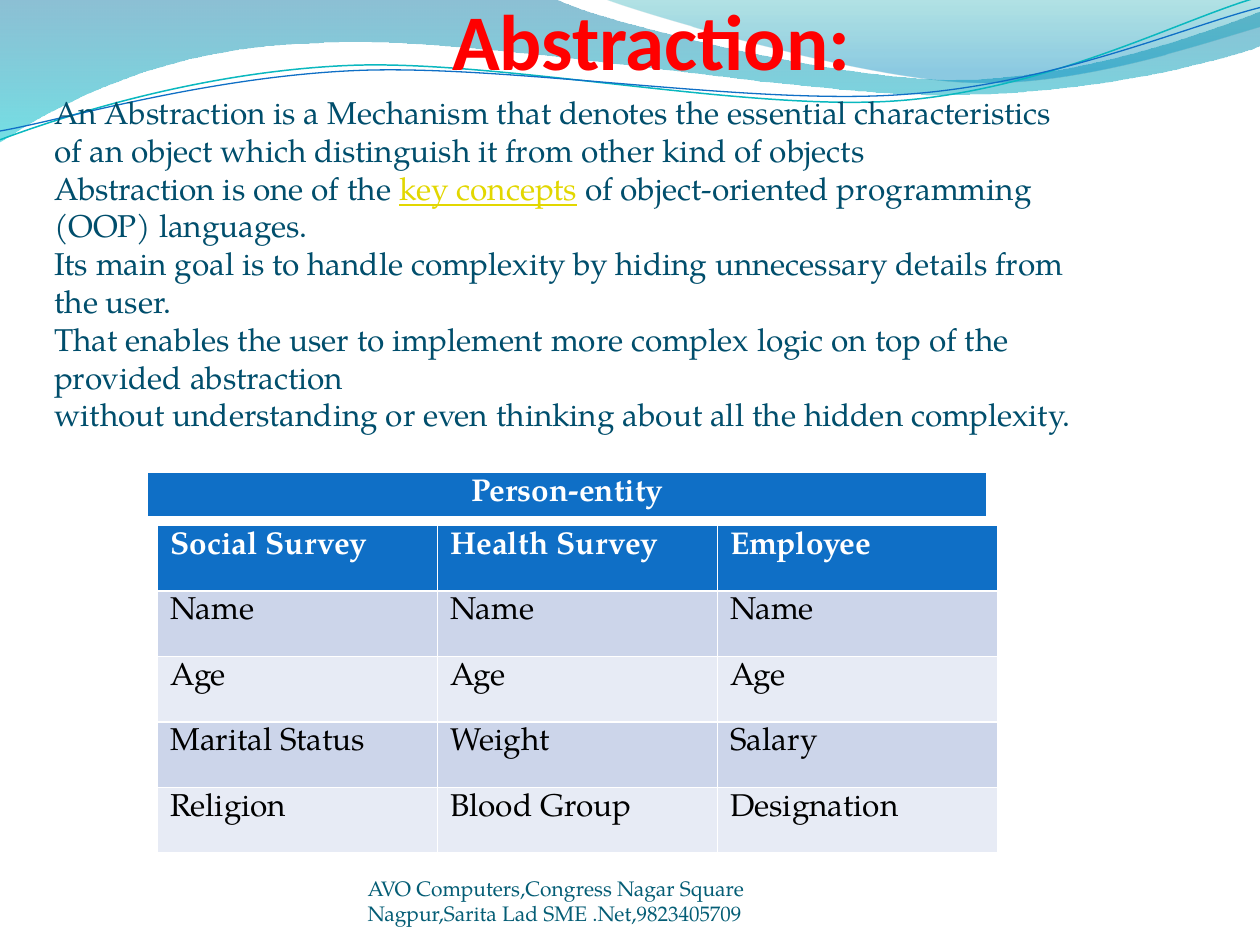
from collections import namedtuple

from lxml.etree import SubElement
from pptx import Presentation
from pptx.dml.color import RGBColor
from pptx.enum.text import MSO_ANCHOR as Anchor, MSO_AUTO_SIZE as AutoSize, PP_ALIGN as Align
from pptx.oxml.ns import qn
from pptx.util import Cm, Pt

Box = namedtuple("Box", "left top width height")
Wave = namedtuple("Wave", "start segments")

COLORS = {
    "title": "FF0000", "body": "004E6C", "link": "E2D700", "footer": "045D75",
    "header": "0F6FC6", "band": "CCD5EA", "light": "E7EBF5",
    "white": "FFFFFF", "black": "000000",
    "teal_line": "0AB8BF", "blue_line": "0F6FC6",
    "deep": "0074A1", "aqua": "00C6CF", "sea": "00A1A9", "sky": "008BBF",
}
SERIF = "TeX Gyre Pagella"
WAVE_UNITS = 10

LEFT_WAVE = Wave((0, 0), [
    [(4.4, -0.01)],
    [(4.76, 0.17), (6.64, 0.63), (7.58, 0.63)],
    [(8.53, 0.63), (9.58, 0.26), (10, 0.09)],
    [(10.01, 0.36)],
    [(9.83, 0.44), (8.7, 0.76), (7.46, 0.75)],
    [(6.22, 0.75), (3.82, 0.28), (2.57, 0.34)],
    [(1.29, 0.36), (0.46, 0.83), (-0.01, 1.13)],
])
RIGHT_WAVE = Wave((4.79, -0.01), [
    [(5.09, 0.11), (6.82, 0.62), (7.69, 0.65)],
    [(8.56, 0.69), (9.61, 0.32), (10, 0.21)],
    [(10, 0)],
])
TEAL_WAVE = Wave((0, 1.11), [
    [(0.48, 0.93), (1.58, 0.57), (2.77, 0.52)],
    [(3.95, 0.47), (5.93, 0.89), (7.13, 0.8)],
    [(8.33, 0.71), (9.38, 0.15), (9.98, -0.02)],
])
BLUE_WAVE = Wave((0, 1.04), [
    [(0.47, 0.96), (1.64, 0.61), (2.83, 0.56)],
    [(4.03, 0.51), (5.97, 0.84), (7.17, 0.75)],
    [(8.36, 0.67), (9.41, 0.21), (10, 0.06)],
])

BODY = [
    [("An Abstraction is a Mechanism that denotes the essential characteristics", False)],
    [("of an object which distinguish it from other kind of objects", False)],
    [("Abstraction is one of the ", False), ("key concepts", True),
     (" of object-oriented programming (OOP) languages.", False)],
    [("Its main goal is to handle complexity by hiding unnecessary details from the user.", False)],
    [("That enables the user to implement more complex logic on top of the provided abstraction", False)],
    [("without understanding or even thinking about all the hidden complexity.", False)],
]
SURVEYS = [
    ["Social Survey", "Health Survey", "Employee"],
    ["Name", "Name", "Name"],
    ["Age", "Age", "Age"],
    ["Marital Status", "Weight", "Salary"],
    ["Religion", "Blood Group", "Designation"],
]


def rgb(name):
    return RGBColor.from_string(COLORS[name])


def add_run(paragraph, text, size, color, font=SERIF, bold=False, underline=False):
    run = paragraph.add_run()
    run.text = text
    run.font.size = Pt(size)
    run.font.name = font
    run.font.bold = bold
    run.font.underline = underline
    run.font.color.rgb = rgb(color)


def add_text_frame(slide, box, anchor=Anchor.TOP, margins=None):
    frame = slide.shapes.add_textbox(*map(Cm, box)).text_frame
    frame.word_wrap = True
    frame.vertical_anchor = anchor
    if margins:
        (frame.margin_left, frame.margin_top,
         frame.margin_right, frame.margin_bottom) = map(Cm, margins)
    return frame


def bend_segments(shape, segments):
    lines = iter(list(shape._element.spPr.iter(qn("a:lnTo"))))
    for segment in segments:
        first, *others = [next(lines) for _ in segment]
        if others:
            outline = first.getparent()
            curve = SubElement(outline, qn("a:cubicBezTo"))
            outline.replace(first, curve)
            for line in (first, *others):
                curve.append(line[0])
            for line in others:
                outline.remove(line)


def add_wave(slide, box, wave, close):
    unit = box.width / WAVE_UNITS
    points = [wave.start] + [point for segment in wave.segments for point in segment]
    placed = [(Cm(box.left + x * unit), Cm(box.top + y * unit)) for x, y in points]
    builder = slide.shapes.build_freeform(*placed[0])
    builder.add_line_segments(placed[1:], close=close)
    shape = builder.convert_to_shape()
    bend_segments(shape, wave.segments)
    shape.shadow.inherit = False
    return shape


def add_filled_wave(slide, box, wave, stops):
    shape = add_wave(slide, box, wave, True)
    shape.line.fill.background()
    shape.fill.gradient()
    shape.fill.gradient_angle = 270
    for stop, (position, color, _) in zip(shape.fill.gradient_stops, stops):
        stop.position = position
        stop.color.rgb = rgb(color)
    for element, (_, _, opacity) in zip(shape._element.spPr.iter(qn("a:srgbClr")), stops):
        SubElement(element, qn("a:alpha")).set("val", str(opacity * 1000))


def add_line_wave(slide, box, wave, color, width):
    shape = add_wave(slide, box, wave, False)
    shape.fill.background()
    shape.line.color.rgb = rgb(color)
    shape.line.width = Pt(width)


def add_waves(slide, box):
    add_filled_wave(slide, box, LEFT_WAVE, [(0, "deep", 45), (1, "aqua", 55)])
    add_filled_wave(slide, box, RIGHT_WAVE, [(0, "sea", 30), (0.8, "sky", 45)])
    add_line_wave(slide, box, TEAL_WAVE, "teal_line", 0.85)
    add_line_wave(slide, box, BLUE_WAVE, "blue_line", 0.75)


def add_body(slide, box):
    frame = add_text_frame(slide, box)
    frame.auto_size = AutoSize.SHAPE_TO_FIT_TEXT
    for index, runs in enumerate(BODY):
        paragraph = frame.add_paragraph() if index else frame.paragraphs[0]
        for text, linked in runs:
            add_run(paragraph, text, 18, "link" if linked else "body", underline=linked)


def add_title(slide, box):
    paragraph = add_text_frame(slide, box, Anchor.BOTTOM, (0, 0.13, 0, 0)).paragraphs[0]
    paragraph.alignment = Align.CENTER
    add_run(paragraph, "Abstraction:", 45, "title", "Calibri", bold=True)


def add_footer(slide, box):
    paragraph = add_text_frame(slide, box, Anchor.BOTTOM, (0, 0, 0, 0)).paragraphs[0]
    add_run(paragraph, "AVO Computers,Congress Nagar Square Nagpur,Sarita Lad SME .Net,9823405709",
            12, "footer")


def add_entity_table(slide, box, rows, align=Align.LEFT):
    table = slide.shapes.add_table(len(rows), len(rows[0]), *map(Cm, box)).table
    for row_index, row in enumerate(rows):
        header = row_index == 0
        fill = "header" if header else "band" if row_index % 2 else "light"
        for column_index, text in enumerate(row):
            cell = table.cell(row_index, column_index)
            cell.fill.solid()
            cell.fill.fore_color.rgb = rgb(fill)
            cell.margin_bottom = 0
            paragraph = cell.text_frame.paragraphs[0]
            paragraph.alignment = align
            add_run(paragraph, text, 18, "white" if header else "black", bold=header)


def main():
    presentation = Presentation()
    presentation.slide_width, presentation.slide_height = Cm(25.4), Cm(19.05)
    slide = presentation.slides.add_slide(presentation.slide_layouts[6])
    add_waves(slide, Box(0, 0, 25.4, 2.9))
    add_body(slide, Box(0.84, 1.75, 21.64, 7.19))
    add_title(slide, Box(1.7, 0, 22.86, 1.75))
    add_entity_table(slide, Box(3.18, 10.59, 16.93, 6.6), SURVEYS)
    add_entity_table(slide, Box(2.97, 9.53, 16.93, 0.88), [["Person-entity"]], Align.CENTER)
    add_footer(slide, Box(7.41, 17.65, 9.32, 1.02))
    presentation.save("out.pptx")


if __name__ == "__main__":
    main()
